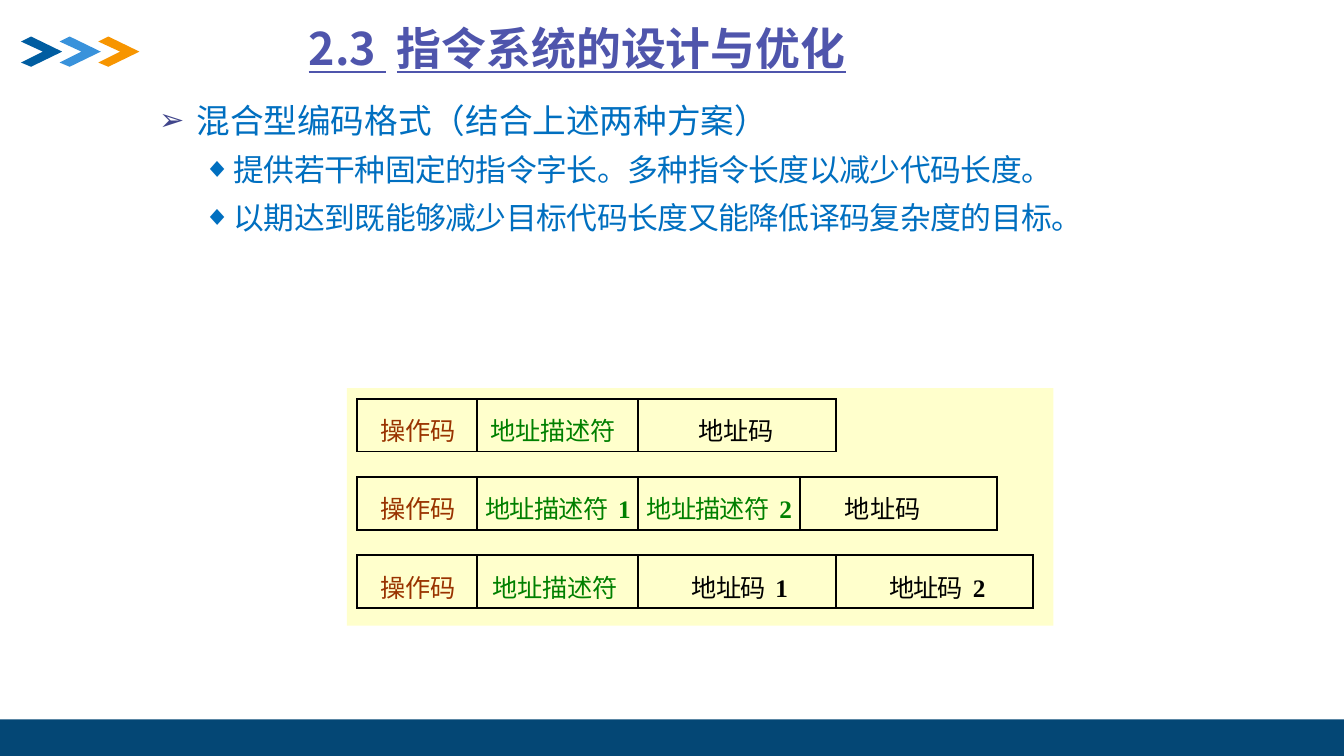
from dataclasses import dataclass

from lxml import etree
from pptx import Presentation
from pptx.dml.color import RGBColor
from pptx.enum.shapes import MSO_SHAPE
from pptx.enum.text import MSO_ANCHOR, MSO_AUTO_SIZE, PP_ALIGN
from pptx.oxml.ns import qn
from pptx.util import Inches, Pt

RECTANGLE = MSO_SHAPE.RECTANGLE
TOP, MIDDLE = MSO_ANCHOR.TOP, MSO_ANCHOR.MIDDLE
LEFT = PP_ALIGN.LEFT
NO_AUTOFIT = MSO_AUTO_SIZE.NONE

PAGE_WIDTH, PAGE_HEIGHT = Inches(13.33), Inches(7.5)
COLUMNS, ROWS = 32, 18


@dataclass(frozen=True)
class Theme:
    sans: str = "Noto Sans CJK SC"
    serif: str = "Times New Roman"
    title: str = "4F55AC"
    body: str = "006FC0"
    bullet: str = "40458B"
    footer: str = "044775"
    panel: str = "FFFFCC"
    border: str = "000000"
    opcode: str = "993300"
    descriptor: str = "008000"
    address: str = "000000"
    chevrons: tuple = ("005DA1", "3992DB", "F79500")
    title_size: float = 32
    topic_size: float = 24
    point_size: float = 22
    field_size: float = 18


THEME = Theme()


@dataclass(frozen=True)
class Area:
    left: float
    top: float
    width: float
    height: float

    def frame(self) -> tuple:
        return across(self.left), down(self.top), across(self.width), down(self.height)


@dataclass(frozen=True)
class Field:
    """One field of an instruction word; width and indent are in grid columns."""
    label: str
    color: str
    width: float
    indent: float
    number: str = ""


@dataclass(frozen=True)
class Bullet:
    text: str
    level: int
    size: float
    char: str
    color: str
    scale: int
    indent: float
    hanging: float
    tracking: float


def opcode() -> Field:
    return Field("操作码", THEME.opcode, 2.86, 0.55)


def descriptor(indent: float, number: str = "") -> Field:
    return Field("地址描述符", THEME.descriptor, 3.84, indent, number)


def address(indent: float, number: str = "") -> Field:
    return Field("地址码", THEME.address, 4.7, indent, number)


def point(text: str) -> Bullet:
    return Bullet(text, 1, THEME.point_size, "◆", THEME.body, 89, 1.82, 0.72, -0.3)


TITLE_AREA = Area(3.05, 0.46, 28.95, 1.34)
BODY_AREA = Area(3.74, 1.97, 22.39, 4.18)
PANEL_AREA = Area(8.26, 9.24, 16.82, 5.66)
FOOTER_AREA = Area(0, 17.13, COLUMNS, 0.87)

CHEVRON_START, CHEVRON_TOP, CHEVRON_PITCH = 0.5, 0.87, 0.92
CHEVRON_OUTLINE = ((0.24, 0), (0, 0.12), (0.52, 0.36), (0, 0.62), (0.24, 0.72), (0.98, 0.36))

FORMAT_LEFT, FORMAT_TOP, FORMAT_PITCH, FORMAT_HEIGHT = 8.5, 9.5, 1.86, 1.25
FORMATS = (
    (opcode(), descriptor(0.31), address(1.44)),
    (opcode(), descriptor(0.2, "1"), descriptor(0.2, "2"), address(1.08)),
    (opcode(), descriptor(0.36), address(1.27, "1"), address(1.27, "2")),
)
BULLETS = (
    Bullet("混合型编码格式（结合上述两种方案）", 0, THEME.topic_size, "➢", THEME.bullet,
           90, 0.94, 0.89, 0),
    point("提供若干种固定的指令字长。多种指令长度以减少代码长度。"),
    point("以期达到既能够减少目标代码长度又能降低译码复杂度的目标。"),
)


def across(columns: float) -> int:
    return round(PAGE_WIDTH * columns / COLUMNS)


def down(rows: float) -> int:
    return round(PAGE_HEIGHT * rows / ROWS)


def add_span(para, text: str, size: float, color: str, face: str = THEME.sans,
             bold: bool = False, underline: bool = False, tracking: float = 0) -> None:
    span = para.add_run()
    span.text = text
    font = span.font
    font.size, font.name, font.bold, font.underline = Pt(size), face, bold, underline
    font.color.rgb = RGBColor.from_string(color)
    properties = span._r.get_or_add_rPr()
    properties.set("spc", str(round(tracking * 100)))
    etree.SubElement(properties, qn("a:ea")).set("typeface", face)


def paint(shape, color: str) -> None:
    shape.shadow.inherit = False
    shape.fill.solid()
    shape.fill.fore_color.rgb = RGBColor.from_string(color)
    shape.line.fill.background()


def add_block(page, area: Area, color: str) -> None:
    paint(page.shapes.add_shape(RECTANGLE, *area.frame()), color)


def add_chevron(page, left: float, color: str) -> None:
    corners = [(across(left + x), down(CHEVRON_TOP + y)) for x, y in CHEVRON_OUTLINE]
    builder = page.shapes.build_freeform(*corners[0])
    builder.add_line_segments(corners[1:], close=True)
    paint(builder.convert_to_shape(), color)


def prepare_box(box, area: Area, anchor, inset_left: float = 0, inset_top: float = 0):
    """Move a placeholder and return its text frame."""
    box.left, box.top, box.width, box.height = area.frame()
    frame = box.text_frame
    frame.word_wrap, frame.auto_size, frame.vertical_anchor = True, NO_AUTOFIT, anchor
    frame.margin_left, frame.margin_top = across(inset_left), down(inset_top)
    frame.margin_right = frame.margin_bottom = 0
    return frame


def write_title(box) -> None:
    para = prepare_box(box, TITLE_AREA, MIDDLE, inset_left=4.3).paragraphs[0]
    para.alignment = LEFT
    for text, tracking in (("2.3", 0), (" ", 7.5), ("指令系统的设计与优化", 0)):
        add_span(para, text, THEME.title_size, THEME.title, bold=True,
                 underline=True, tracking=tracking)


def set_bullet(para, bullet: Bullet) -> None:
    properties = para._p.get_or_add_pPr()
    properties.set("marL", str(across(bullet.indent)))
    properties.set("indent", str(-across(bullet.hanging)))
    color = etree.SubElement(properties, qn("a:buClr"))
    etree.SubElement(color, qn("a:srgbClr")).set("val", bullet.color)
    etree.SubElement(properties, qn("a:buSzPct")).set("val", str(bullet.scale * 1000))
    etree.SubElement(properties, qn("a:buChar")).set("char", bullet.char)


def write_body(box) -> None:
    frame = prepare_box(box, BODY_AREA, TOP, inset_top=0.41)
    for index, bullet in enumerate(BULLETS):
        para = frame.add_paragraph() if index else frame.paragraphs[0]
        para.level = bullet.level
        set_bullet(para, bullet)
        para.alignment, para.space_before = LEFT, Pt(7.6 if index else 0)
        add_span(para, bullet.text, bullet.size, THEME.body, tracking=bullet.tracking)


def set_borders(cell) -> None:
    properties = cell._tc.get_or_add_tcPr()
    for side in ("a:lnL", "a:lnR", "a:lnT", "a:lnB"):
        line = etree.SubElement(properties, qn(side), w=str(Pt(1.5)))
        fill = etree.SubElement(line, qn("a:solidFill"))
        etree.SubElement(fill, qn("a:srgbClr")).set("val", THEME.border)


def write_field(cell, field: Field) -> None:
    set_borders(cell)
    cell.fill.solid()
    cell.fill.fore_color.rgb = RGBColor.from_string(THEME.panel)
    cell.margin_left, cell.margin_top = across(field.indent), down(0.3)
    cell.margin_right = cell.margin_bottom = 0
    para = cell.text_frame.paragraphs[0]
    size, color = THEME.field_size, field.color
    add_span(para, field.label, size, color, tracking=-0.6 if field.number else -0.1)
    if field.number:
        add_span(para, " ", size, color, tracking=3)
        add_span(para, field.number, size, color, THEME.serif, bold=True, tracking=-0.5)


def add_format(page, top: float, fields: tuple) -> None:
    area = Area(FORMAT_LEFT, top, sum(field.width for field in fields), FORMAT_HEIGHT)
    table = page.shapes.add_table(1, len(fields), *area.frame()).table
    table.first_row = table.horz_banding = False
    for index, field in enumerate(fields):
        table.columns[index].width = across(field.width)
        write_field(table.cell(0, index), field)


def main() -> None:
    deck = Presentation()
    deck.slide_width, deck.slide_height = PAGE_WIDTH, PAGE_HEIGHT
    page = deck.slides.add_slide(deck.slide_layouts[1])
    for index, color in enumerate(THEME.chevrons):
        add_chevron(page, CHEVRON_START + index * CHEVRON_PITCH, color)
    add_block(page, FOOTER_AREA, THEME.footer)
    add_block(page, PANEL_AREA, THEME.panel)
    write_title(page.shapes.title)
    for index, fields in enumerate(FORMATS):
        add_format(page, FORMAT_TOP + index * FORMAT_PITCH, fields)
    write_body(page.placeholders[1])
    deck.save("out.pptx")


if __name__ == "__main__":
    main()
